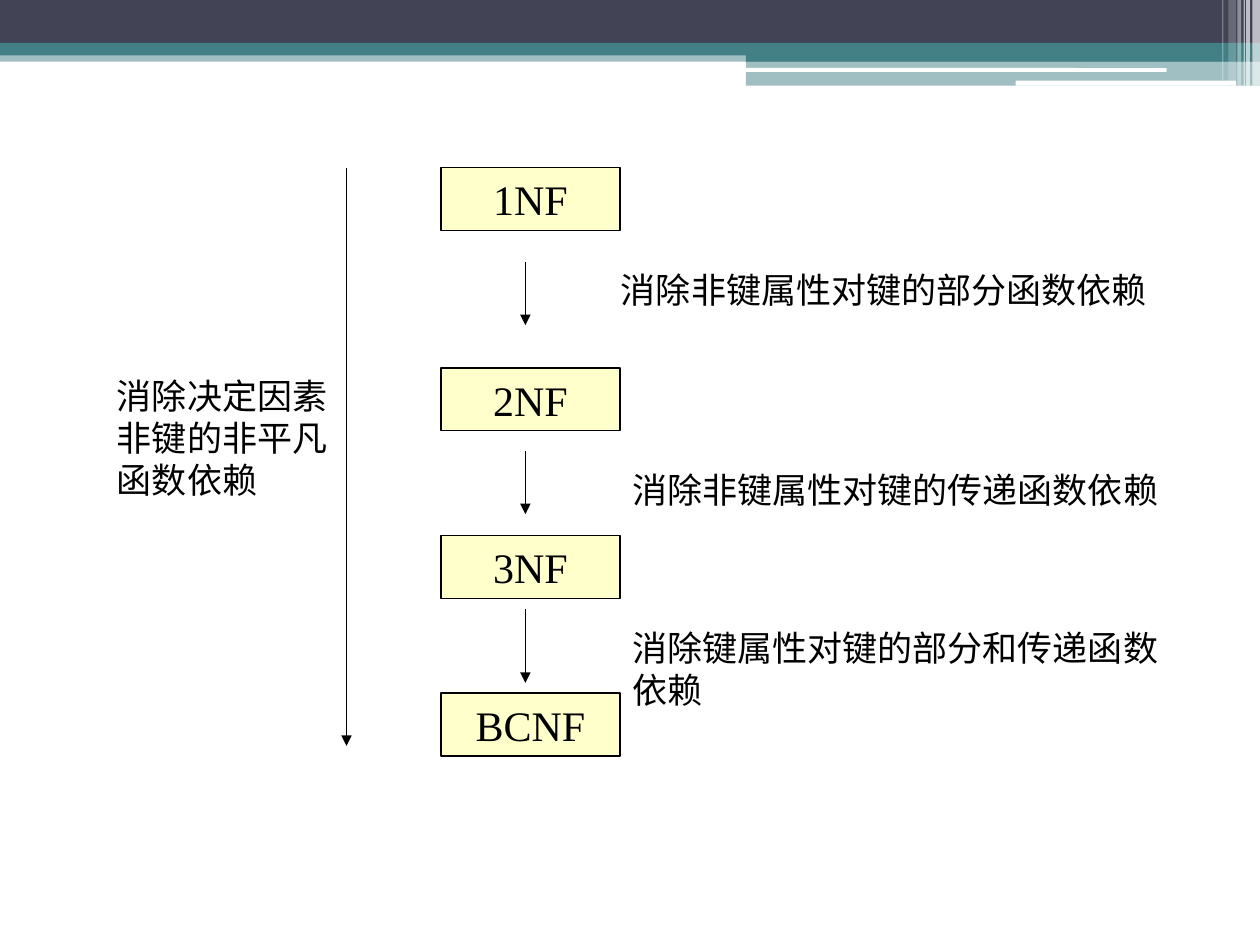
"""Build a slide showing the steps of normalisation from 1NF to BCNF."""
from dataclasses import dataclass

from lxml.etree import SubElement
from pptx import Presentation
from pptx.dml.color import RGBColor
from pptx.enum.shapes import MSO_CONNECTOR, MSO_SHAPE
from pptx.enum.text import MSO_ANCHOR, MSO_AUTO_SIZE, PP_ALIGN
from pptx.oxml.ns import qn
from pptx.util import Inches, Pt


@dataclass(frozen=True)
class Theme:
    font: str = "Times New Roman"
    ink: str = "000000"
    box: str = "FFFFCC"
    navy: str = "424456"
    teal: str = "438086"
    white: str = "FFFFFF"
    form_size: float = 24
    note_size: float = 20
    note_space: float = 12.5
    line_width: float = 0.75


THEME = Theme()

FORMS = [("1NF", 1.33), ("2NF", 2.92), ("3NF", 4.25), ("BCNF", 5.5)]
FORM_LEFT, FORM_WIDTH, FORM_HEIGHT = 3.5, 1.42, 0.5

NOTES = [
    ("消除非键属性对键的部分函数依赖", 4.83, 2.08, 4.5, 0.44),
    ("消除非键属性对键的传递函数依赖", 4.92, 3.67, 4.5, 0.44),
    ("消除键属性对键的部分和传递函数依赖", 4.92, 4.92, 4.5, 0.77),
    ("消除决定因素非键的非平凡函数依赖", 0.83, 2.92, 1.92, 1.1),
]

ARROWS = [(4.17, 2.08, 2.58), (4.17, 3.58, 4.08), (4.17, 4.83, 5.42), (2.75, 1.33, 5.92)]

BANDS = [
    (0, 0.4, 10, 0.09, THEME.teal, 50),
    (0, 0, 10, 0.34, THEME.navy, 100),
    (0, 0.34, 10, 0.1, THEME.teal, 100),
    (5.92, 0.39, 4.08, 0.1, THEME.teal, 100),
    (5.92, 0.48, 4.08, 0.2, THEME.teal, 50),
]
HIGHLIGHTS = [(5.91, 0.54, 3.35, 0.03, THEME.white, 100), (8.06, 0.64, 1.75, 0.04, THEME.white, 100)]
STRIPES = [
    (9.94, 0.06, 0.68, 65),
    (9.89, 0.03, 0.68, 65),
    (9.87, 0.01, 0.68, 60),
    (9.82, 0.03, 0.68, 40),
    (9.75, 0.06, 0.64, 20),
    (9.7, 0.01, 0.64, 30),
]


def add_block(slide, left, top, width, height, color, opacity=100, preset=MSO_SHAPE.RECTANGLE):
    shape = slide.shapes.add_shape(preset, *map(Inches, (left, top, width, height)))
    shape.shadow.inherit = False
    shape.fill.solid()
    shape.fill.fore_color.rgb = RGBColor.from_string(color)
    shape.line.fill.background()
    if opacity < 100:
        color_element = shape._element.spPr.find(qn("a:solidFill"))[0]
        SubElement(color_element, qn("a:alpha"), val=str(opacity * 1000))
    return shape


def set_line(line):
    line.color.rgb = RGBColor.from_string(THEME.ink)
    line.width = Pt(THEME.line_width)


def set_text(text_frame, text, size):
    text_frame.text = text
    paragraph = text_frame.paragraphs[0]
    font = paragraph.runs[0].font
    font.name = THEME.font
    font.size = Pt(size)
    font.color.rgb = RGBColor.from_string(THEME.ink)
    return paragraph


def add_header(slide):
    for band in BANDS:
        add_block(slide, *band)
    for highlight in HIGHLIGHTS:
        add_block(slide, *highlight, preset=MSO_SHAPE.ROUNDED_RECTANGLE)
    for left, width, height, opacity in STRIPES:
        add_block(slide, left, 0, width, height, THEME.white, opacity)


def add_form(slide, name, top):
    shape = add_block(slide, FORM_LEFT, top, FORM_WIDTH, FORM_HEIGHT, THEME.box)
    set_line(shape.line)
    shape.text_frame.word_wrap = False
    shape.text_frame.vertical_anchor = MSO_ANCHOR.MIDDLE
    set_text(shape.text_frame, name, THEME.form_size).alignment = PP_ALIGN.CENTER


def add_arrow(slide, x, start, end):
    points = map(Inches, (x, start, x, end))
    connector = slide.shapes.add_connector(MSO_CONNECTOR.STRAIGHT, *points)
    set_line(connector.line)
    SubElement(connector.line._get_or_add_ln(), qn("a:tailEnd"), type="triangle")
    SubElement(connector._element.spPr, qn("a:effectLst"))


def add_note(slide, text, *place):
    text_frame = slide.shapes.add_textbox(*map(Inches, place)).text_frame
    text_frame.word_wrap = True
    text_frame.auto_size = MSO_AUTO_SIZE.SHAPE_TO_FIT_TEXT
    set_text(text_frame, text, THEME.note_size).space_before = Pt(THEME.note_space)


def main():
    presentation = Presentation()
    presentation.slide_width, presentation.slide_height = Inches(10), Inches(7.5)
    slide = presentation.slides.add_slide(presentation.slide_layouts[6])
    add_header(slide)
    for form in FORMS:
        add_form(slide, *form)
    for arrow in ARROWS:
        add_arrow(slide, *arrow)
    for note in NOTES:
        add_note(slide, *note)
    presentation.save("out.pptx")


if __name__ == "__main__":
    main()
